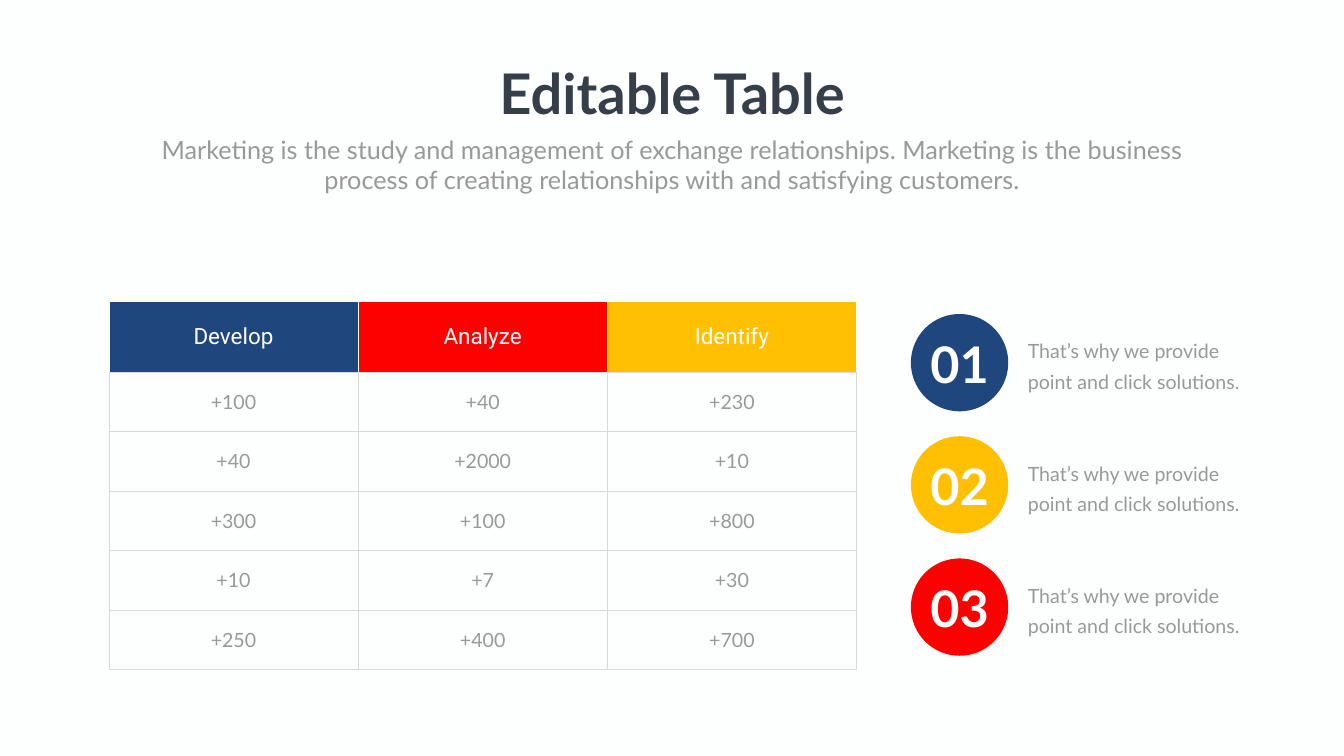
"""Build the table slide with its three numbered notes."""
from typing import NamedTuple

from lxml.etree import SubElement
from pptx import Presentation
from pptx.dml.color import RGBColor
from pptx.enum.shapes import MSO_SHAPE as Shape
from pptx.enum.text import MSO_ANCHOR as Anchor, PP_ALIGN as Align
from pptx.oxml.ns import qn
from pptx.util import Pt

PAPER = RGBColor(0xFD, 0xFF, 0xFE)
INK = RGBColor(0x35, 0x3E, 0x49)
GRAY = RGBColor(0x98, 0x99, 0x98)
RULE = RGBColor(0xD9, 0xD9, 0xD9)
WHITE = RGBColor(0xFF, 0xFF, 0xFF)
BLUE = RGBColor(0x20, 0x47, 0x7D)
RED = RGBColor(0xFD, 0x00, 0x00)
YELLOW = RGBColor(0xFF, 0xBF, 0x03)

COLUMN_WIDTH, HEADER_HEIGHT, ROW_HEIGHT = 355.92, 101.5, 85
NOTE_LEFT, NOTE_TOP, NOTE_STEP, CIRCLE = 1301, 448.6, 174.6, 139
TEXT_DROP = 23.3


class Column(NamedTuple):
    heading: str
    color: RGBColor
    values: tuple[str, ...]


class Note(NamedTuple):
    number: str
    color: RGBColor
    text: str


class Border(NamedTuple):
    side: str
    color: RGBColor
    width: float


NOTE_TEXT = "That’s why we provide point and click solutions."
COLUMNS = (
    Column("Develop", BLUE, ("+100", "+40", "+300", "+10", "+250")),
    Column("Analyze", RED, ("+40", "+2000", "+100", "+7", "+400")),
    Column("Identify", YELLOW, ("+230", "+10", "+800", "+30", "+700")),
)
NOTES = (
    Note("01", BLUE, NOTE_TEXT),
    Note("02", YELLOW, NOTE_TEXT),
    Note("03", RED, NOTE_TEXT),
)


def write(frame, text: str, *, size: float, color: RGBColor, font: str = "Lato",
          bold: bool = False, align: Align = Align.CENTER,
          line: float | None = None) -> None:
    """Write one formatted paragraph into a text frame."""
    para = frame.paragraphs[0]
    para.alignment = align
    if line:
        para.line_spacing = Pt(line)
    span = para.add_run()
    span.text = text
    span.font.size, span.font.name, span.font.bold = Pt(size), font, bold
    span.font.color.rgb = color


def add_text(page, text: str, left: float, top: float, width: float,
             height: float, *, wrap: bool = True, **style) -> None:
    """Place a text box on the page."""
    box = page.shapes.add_textbox(Pt(left), Pt(top), Pt(width), Pt(height))
    box.text_frame.word_wrap = wrap
    write(box.text_frame, text, **style)


def set_borders(cell, borders: list[Border]) -> None:
    """Draw the given sides of a cell, ordered left, right, top, bottom."""
    properties = cell._tc.get_or_add_tcPr()
    for border in borders:
        line = SubElement(properties, qn(f"a:ln{border.side}"), w=str(Pt(border.width)))
        fill = SubElement(line, qn("a:solidFill"))
        SubElement(fill, qn("a:srgbClr"), val=str(border.color))


def add_table(page, left: float, top: float) -> None:
    """Draw the table with one coloured heading per column."""
    rows = len(COLUMNS[0].values) + 1
    height = HEADER_HEIGHT + ROW_HEIGHT * (rows - 1)
    table = page.shapes.add_table(rows, len(COLUMNS), Pt(left), Pt(top),
                                  Pt(COLUMN_WIDTH * len(COLUMNS)), Pt(height)).table
    table.first_row = table.horz_banding = False
    for index, row in enumerate(table.rows):
        row.height = Pt(ROW_HEIGHT if index else HEADER_HEIGHT)
    body_borders = [Border(side, RULE, 1) for side in "LRTB"]
    for index, column in enumerate(COLUMNS):
        table.columns[index].width = Pt(COLUMN_WIDTH)
        head = table.cell(0, index)
        sides = "LR" if index else "R"
        set_borders(head, [Border(side, WHITE, 0.5) for side in sides] + [Border("B", RULE, 1)])
        head.fill.solid()
        head.fill.fore_color.rgb = column.color
        head.vertical_anchor = Anchor.MIDDLE
        write(head.text_frame, column.heading, size=32, color=WHITE, font="Roboto")
        for row, value in enumerate(column.values, 1):
            cell = table.cell(row, index)
            set_borders(cell, body_borders)
            cell.fill.background()
            cell.vertical_anchor = Anchor.MIDDLE
            write(cell.text_frame, value, size=28, color=GRAY)


def add_note(page, note: Note, top: float) -> None:
    """Draw a numbered circle with its text beside it."""
    circle = page.shapes.add_shape(Shape.OVAL, Pt(NOTE_LEFT), Pt(top), Pt(CIRCLE), Pt(CIRCLE))
    circle.shadow.inherit = False
    circle.fill.solid()
    circle.fill.fore_color.rgb = note.color
    circle.line.fill.background()
    add_text(page, note.number, NOTE_LEFT + 10.6, top + TEXT_DROP, 118, 94.3,
             size=72, color=WHITE, bold=True)
    add_text(page, note.text, NOTE_LEFT + 159.9, top + TEXT_DROP, 330.5, 89.3,
             size=28, color=GRAY, align=Align.LEFT, line=43)


def main() -> None:
    """Build and save the deck."""
    deck = Presentation()
    deck.slide_width, deck.slide_height = Pt(1919.52), Pt(1080)
    page = deck.slides.add_slide(deck.slide_layouts[6])
    page.background.fill.solid()
    page.background.fill.fore_color.rgb = PAPER
    add_text(page, "Editable Table", 694.8, 80.6, 530.6, 104.4,
             wrap=False, size=80, color=INK, bold=True)
    add_text(page, "Marketing is the study and management of exchange relationships. "
             "Marketing is the business process of creating relationships with and "
             "satisfying customers.", 210.2, 187.9, 1499, 94.3, size=36, color=GRAY)
    add_table(page, 155.5, 429.8)
    for index, note in enumerate(NOTES):
        add_note(page, note, NOTE_TOP + index * NOTE_STEP)
    deck.save("out.pptx")


if __name__ == "__main__":
    main()
